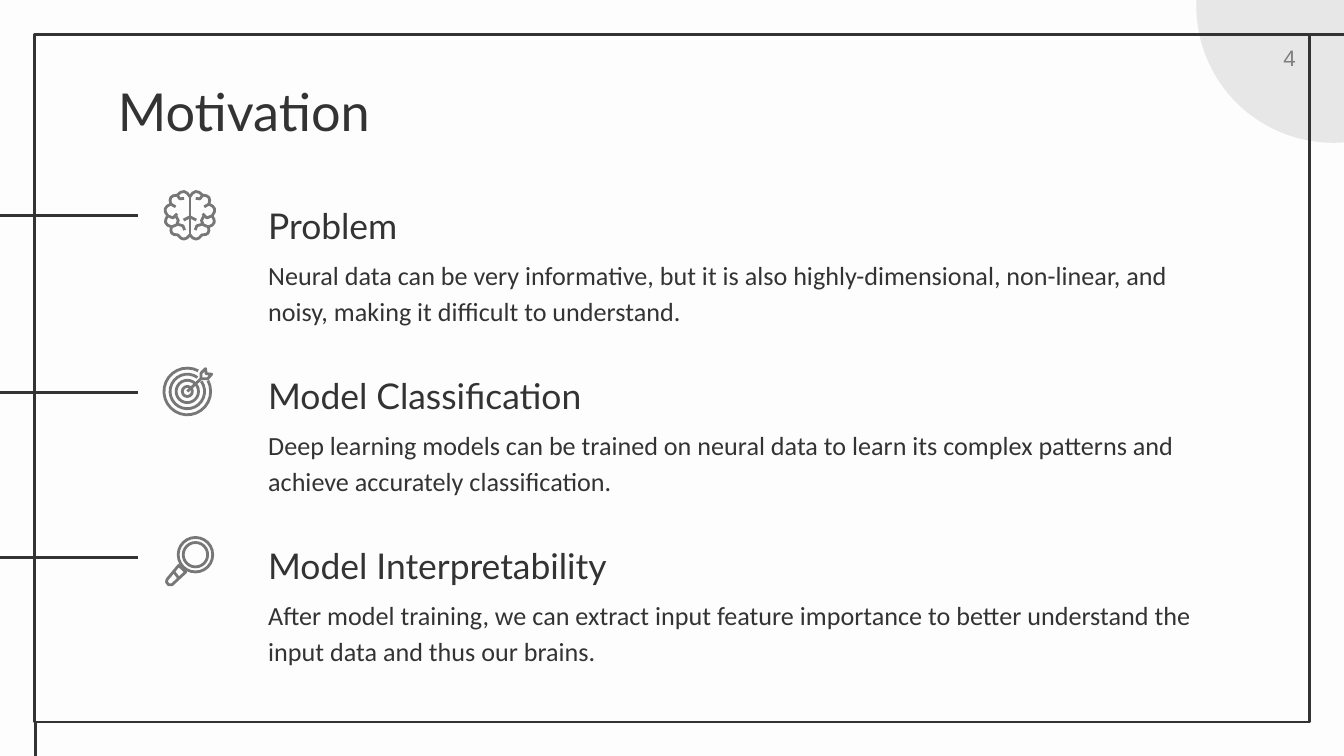
import math
from dataclasses import dataclass

from pptx import Presentation
from pptx import util as u
from pptx.dml.color import RGBColor
from pptx.enum import shapes, text
from pptx.oxml import ns
from lxml import etree

PAPER = RGBColor(0xFD, 0xFD, 0xFD)
INK = RGBColor(0x33, 0x33, 0x33)
ICON_GRAY = RGBColor(0x77, 0x77, 0x77)
NUMBER_GRAY = RGBColor(0x7F, 0x7F, 0x7F)
DISC_GRAY = RGBColor(0xE8, 0xE7, 0xE7)
STROKE = u.Pt(1.5)

SECTIONS = [
    ("Problem",
     "Neural data can be very informative, but it is also highly-dimensional, "
     "non-linear, and noisy, making it difficult to understand."),
    ("Model Classification",
     "Deep learning models can be trained on neural data to learn its complex "
     "patterns and achieve accurately classification."),
    ("Model Interpretability",
     "After model training, we can extract input feature importance to better "
     "understand the input data and thus our brains."),
]
SECTION_PITCH = 3.21

BRAIN_CUSPS = [(0.5, 0.15), (0.26, 0.12), (0.14, 0.29), (0.08, 0.51),
               (0.15, 0.72), (0.27, 0.87), (0.5, 0.87)]
BRAIN_FOLDS = [
    [(0.5, 0.53), (0.38, 0.59)],
    [(0.14, 0.29), (0.23, 0.34)],
    [(0.26, 0.12), (0.31, 0.19), (0.39, 0.18)],
    [(0.08, 0.51), (0.18, 0.55), (0.26, 0.47)],
    [(0.24, 0.52), (0.28, 0.60), (0.25, 0.68), (0.15, 0.72)],
    [(0.27, 0.67), (0.37, 0.70), (0.40, 0.78)],
]


@dataclass
class Box:
    left: float
    top: float
    width: float
    height: float

    def at(self, x, y):
        return (u.Cm(self.left + x * self.width), u.Cm(self.top + y * self.height))

    def lengths(self):
        return [u.Cm(v) for v in (self.left, self.top, self.width, self.height)]


def style(shape, fill=None, line=None):
    shape.shadow.inherit = False
    if fill is None:
        shape.fill.background()
    else:
        shape.fill.solid()
        shape.fill.fore_color.rgb = fill
    if line is None:
        shape.line.fill.background()
    else:
        shape.line.color.rgb = line
        shape.line.width = STROKE


def add_line(page, start, end):
    line = page.shapes.add_connector(shapes.MSO_CONNECTOR.STRAIGHT, *start, *end)
    line.line.color.rgb = INK
    line.line.width = STROKE
    properties = line._element.find(ns.qn("p:spPr"))
    etree.SubElement(properties, ns.qn("a:effectLst"))


def add_text(page, box, words, font, size, color=INK, spacing=None,
             anchor=text.MSO_ANCHOR.TOP, align=text.PP_ALIGN.LEFT, inset=0.25):
    frame = page.shapes.add_textbox(*box.lengths()).text_frame
    frame.word_wrap = True
    frame.vertical_anchor = anchor
    frame.margin_left = frame.margin_right = u.Cm(0.25)
    frame.margin_top = frame.margin_bottom = u.Cm(inset)
    para = frame.paragraphs[0]
    para.text = words
    para.alignment = align
    para.line_spacing = spacing
    para.font.name = font
    para.font.size = u.Pt(size)
    para.font.color.rgb = color


def add_icon(page, box, strokes):
    builder = page.shapes.build_freeform(*box.at(*strokes[0][0]))
    for stroke in strokes:
        first, *rest = [box.at(x, y) for x, y in stroke]
        builder.move_to(*first)
        builder.add_line_segments(rest, close=False)
    style(builder.convert_to_shape(), line=ICON_GRAY)


def arc(center, radius, start=0, sweep=360, steps=24):
    angles = [math.radians(start + sweep * step / steps) for step in range(steps + 1)]
    return [(center[0] + radius * math.cos(a), center[1] + radius * math.sin(a))
            for a in angles]


def scallop(cusps, bulge=0.7, steps=4):
    points = [cusps[0]]
    for (x1, y1), (x2, y2) in zip(cusps, cusps[1:]):
        control_x = (x1 + x2) / 2 - bulge * (y2 - y1)
        control_y = (y1 + y2) / 2 + bulge * (x2 - x1)
        if y1 > 0.5 and x2 > x1:
            control_y = (y1 + y2) / 2 + bulge * abs(x2 - x1)
        for step in range(1, steps + 1):
            t = step / steps
            points.append((
                (1 - t) ** 2 * x1 + 2 * t * (1 - t) * control_x + t ** 2 * x2,
                (1 - t) ** 2 * y1 + 2 * t * (1 - t) * control_y + t ** 2 * y2))
    return points


def draw_brain(page, box):
    left_half = [scallop(BRAIN_CUSPS), *BRAIN_FOLDS]
    right_half = [[(1 - x, y) for x, y in stroke] for stroke in left_half]
    add_icon(page, box, [*left_half, *right_half, [(0.5, 0.15), (0.5, 0.87)]])


def draw_target(page, box):
    center = (0.48, 0.48)
    rings = [arc(center, 0.46, -28, 326), arc(center, 0.34, -36, 342),
             arc(center, 0.22), arc(center, 0.1, steps=12)]
    arrow = [center, (0.75, 0.23), (0.75, 0.12), (0.84, 0.03),
             (0.85, 0.13), (0.96, 0.14), (0.88, 0.23), (0.75, 0.23)]
    add_icon(page, box, [*rings, arrow])


def draw_magnifier(page, box):
    center = (0.61, 0.36)
    handle = [(0.28, 0.57), (0.42, 0.7), (0.15, 0.95), (0.08, 0.95),
              (0.04, 0.9), (0.05, 0.85), (0.28, 0.57)]
    add_icon(page, box, [arc(center, 0.34), arc(center, 0.24), handle,
                         [(0.18, 0.69), (0.28, 0.82)]])


def draw_frame(page, box):
    disc = page.shapes.add_shape(
        shapes.MSO_SHAPE.OVAL, *Box(box.left + 21.96, box.top - 3.13, 5.18, 5.18).lengths())
    style(disc, fill=DISC_GRAY)
    style(page.shapes.add_shape(shapes.MSO_SHAPE.RECTANGLE, *box.lengths()), line=INK)
    right, top = box.at(1, 0)
    add_line(page, (right, top), (right + u.Cm(0.85), top))
    left, bottom = box.at(0, 1)
    tail = left + u.Cm(0.02)
    add_line(page, (tail, bottom), (tail, bottom + u.Cm(0.85)))


def draw_section(page, box, heading, body):
    add_text(page, Box(box.left, box.top, box.width, 1.47), heading, "Lato", 19,
             spacing=1.15, anchor=text.MSO_ANCHOR.BOTTOM)
    add_text(page, Box(box.left, box.top + 1.12, box.width, 1.47), body, "Calibri", 14,
             spacing=1.15)


def main():
    deck = Presentation()
    deck.slide_width, deck.slide_height = u.Cm(25.4), u.Cm(14.29)
    page = deck.slides.add_slide(deck.slide_layouts[6])
    page.background.fill.solid()
    page.background.fill.fore_color.rgb = PAPER

    draw_frame(page, Box(0.65, 0.65, 24.1, 13))
    for y in (4.07, 7.42, 10.54):
        add_line(page, (0, u.Cm(y)), (u.Cm(2.61), u.Cm(y)))
    add_text(page, Box(1.98, 1.24, 21.41, 1.6), "Motivation", "Lato", 28)
    for index, (heading, body) in enumerate(SECTIONS):
        draw_section(page, Box(4.82, 3.45 + index * SECTION_PITCH, 18.36, 2.59), heading, body)
    add_text(page, Box(19.02, 0.71, 5.72, 0.76), "4", "Arial", 12, NUMBER_GRAY,
             anchor=text.MSO_ANCHOR.MIDDLE, align=text.PP_ALIGN.RIGHT, inset=0.13)
    draw_target(page, Box(3.08, 6.94, 0.96, 0.96))
    draw_magnifier(page, Box(3.11, 10.14, 0.96, 0.96))
    draw_brain(page, Box(3.09, 3.57, 1, 1))
    deck.save("out.pptx")


if __name__ == "__main__":
    main()
